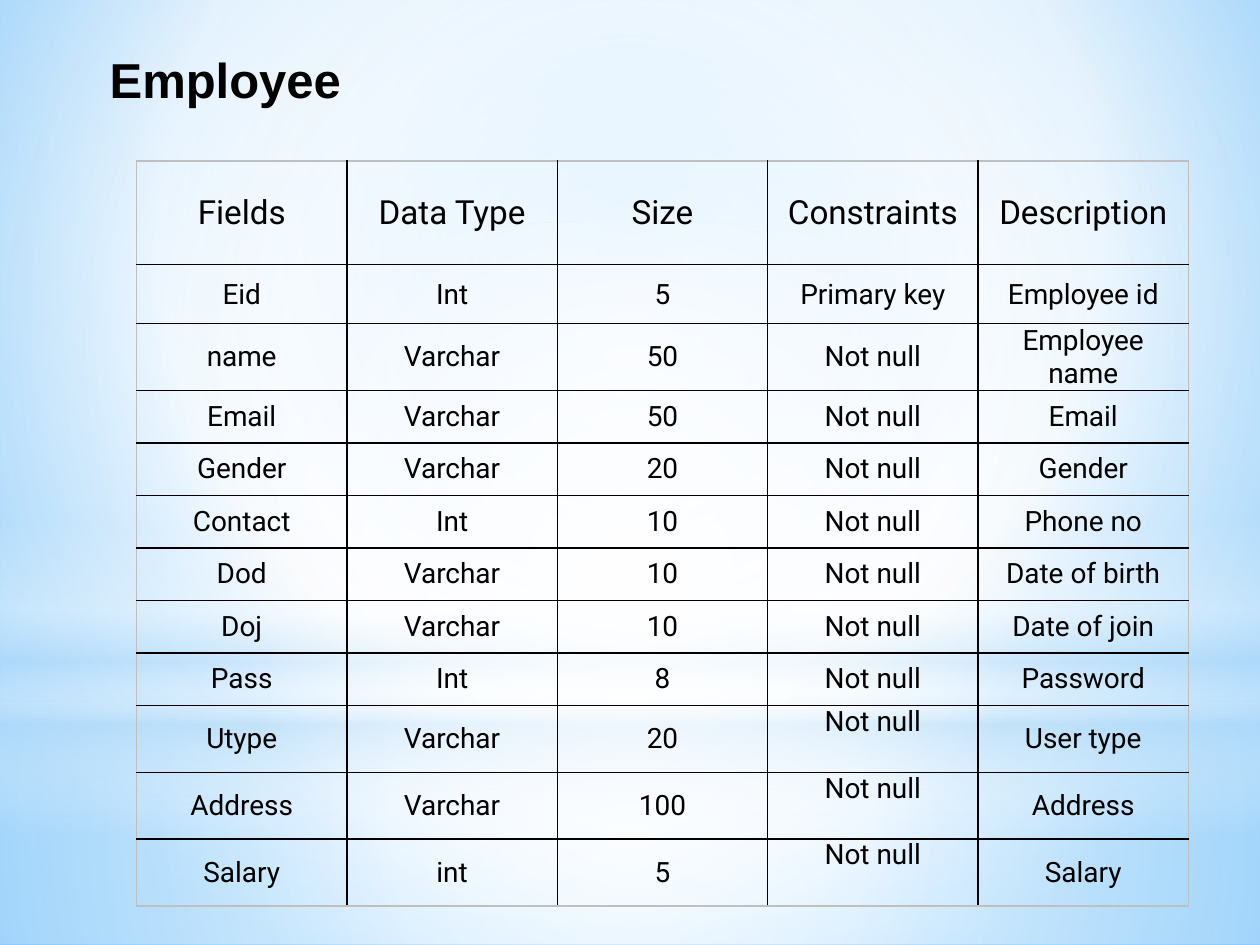
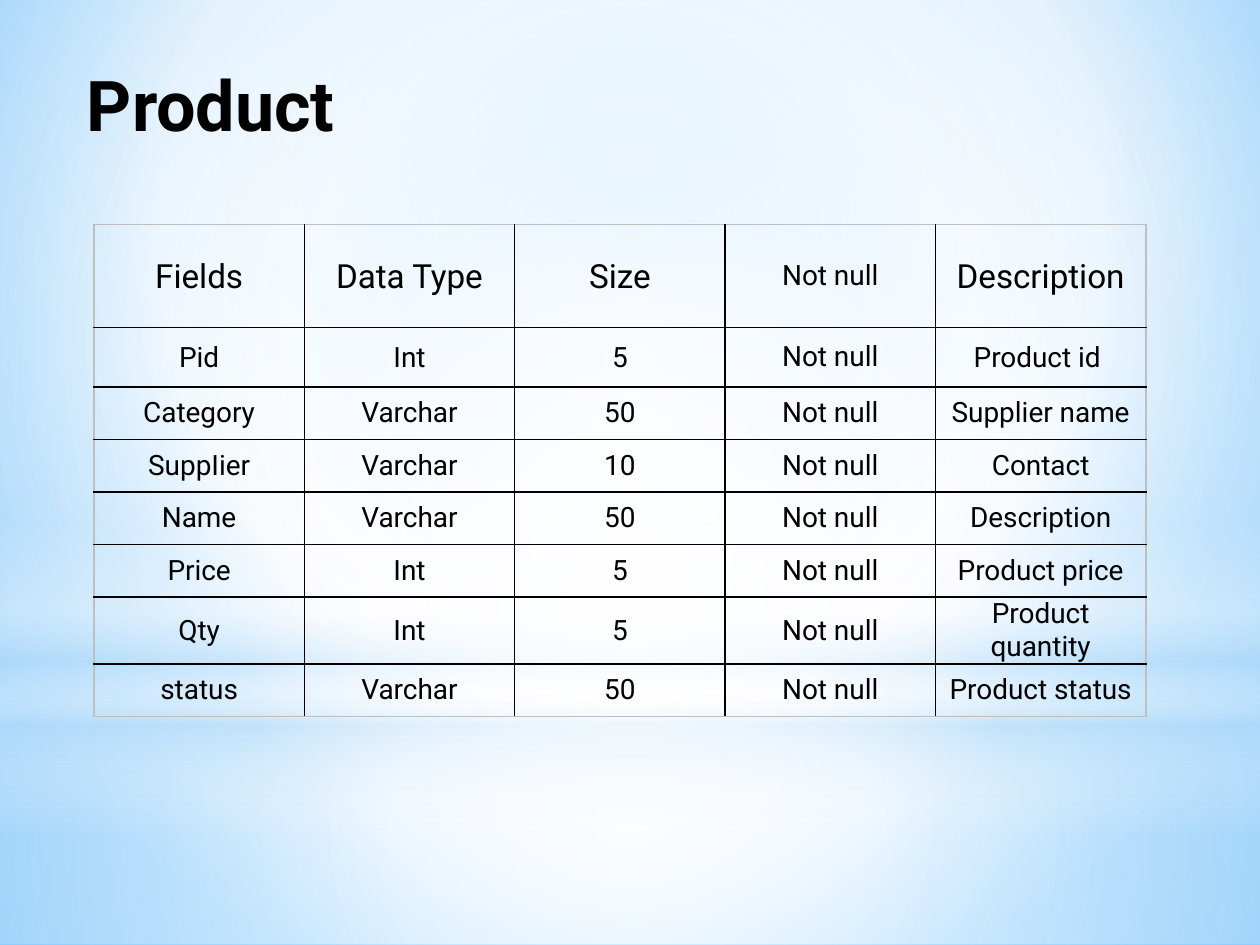
from dataclasses import dataclass

from lxml import etree
from pptx import Presentation
from pptx.dml.color import RGBColor
from pptx.enum.shapes import MSO_SHAPE
from pptx.enum.text import MSO_ANCHOR, MSO_AUTO_SIZE, PP_ALIGN
from pptx.oxml.ns import qn
from pptx.util import Pt

RECTANGLE, OVAL = MSO_SHAPE.RECTANGLE, MSO_SHAPE.OVAL
TOP, MIDDLE = MSO_ANCHOR.TOP, MSO_ANCHOR.MIDDLE
LEFT, CENTER = PP_ALIGN.LEFT, PP_ALIGN.CENTER
NO_AUTOFIT = MSO_AUTO_SIZE.NONE
TITLE_ONLY = 5


@dataclass(frozen=True)
class Theme:
    ink: str = "000000"
    frame: str = "BFBFBF"
    white: str = "FFFFFF"
    haze: str = "B4DCFA"
    sky: str = "9ED5FF"
    deep_sky: str = "5BB9FF"
    font: str = "Roboto"
    heading_font: str = "Arial"
    small_title: int = 28
    large_title: int = 40
    header: int = 19
    body: int = 16


THEME = Theme()
SLIDE_WIDTH, SLIDE_HEIGHT = 720, 540
COLUMN_WIDTH = 120.24
HEADER_HEIGHT, KEY_HEIGHT, ROW_HEIGHT, TALL_HEIGHT = 59, 34, 30, 38.2
CELL_INSET = 5
BORDER_WIDTH = 1
NOT_NULL = "Not null"

EMPLOYEE_FIELDS = [
    ("Fields", "Data Type", "Size", "Constraints", "Description"),
    ("Eid", "Int", "5", "Primary key", "Employee id"),
    ("name", "Varchar", "50", NOT_NULL, "Employee name"),
    ("Email", "Varchar", "50", NOT_NULL, "Email"),
    ("Gender", "Varchar", "20", NOT_NULL, "Gender"),
    ("Contact", "Int", "10", NOT_NULL, "Phone no"),
    ("Dod", "Varchar", "10", NOT_NULL, "Date of birth"),
    ("Doj", "Varchar", "10", NOT_NULL, "Date of join"),
    ("Pass", "Int", "8", NOT_NULL, "Password"),
    ("Utype", "Varchar", "20", NOT_NULL, "User type"),
    ("Address", "Varchar", "100", NOT_NULL, "Address"),
    ("Salary", "int", "5", NOT_NULL, "Salary"),
]
PRODUCT_FIELDS = [
    ("Fields", "Data Type", "Size", NOT_NULL, "Description"),
    ("Pid", "Int", "5", NOT_NULL, "Product id "),
    ("Category", "Varchar", "50", NOT_NULL, "Supplier name"),
    ("SuppIier", "Varchar", "10", NOT_NULL, "Contact"),
    ("Name", "Varchar", "50", NOT_NULL, "Description"),
    ("Price", "Int", "5", NOT_NULL, "Product price"),
    ("Qty", "Int", "5", NOT_NULL, "Product quantity"),
    ("status", "Varchar", "50", NOT_NULL, "Product status"),
]


def write_text(frame, text, size, font=THEME.font, bold=False, align=LEFT,
               line_spacing=1.0, space_after=0):
    paragraph = frame.paragraphs[0]
    paragraph.alignment = align
    paragraph.line_spacing = line_spacing
    paragraph.space_before = Pt(0)
    paragraph.space_after = Pt(space_after)
    run = paragraph.add_run()
    run.text = text
    run.font.name = font
    run.font.size = Pt(size)
    run.font.bold = bold
    run.font.color.rgb = RGBColor.from_string(THEME.ink)


def set_gradient(fill, owner, stops, focus=None):
    """Fill with (position, colour, opacity) stops: around focus, else downwards."""
    fill.gradient()
    gradient = owner.find(".//" + qn("a:gradFill"))
    for child in list(gradient):
        gradient.remove(child)
    stop_list = etree.SubElement(gradient, qn("a:gsLst"))
    for position, colour, opacity in stops:
        stop = etree.SubElement(stop_list, qn("a:gs"), pos=str(position * 1000))
        tint = etree.SubElement(stop, qn("a:srgbClr"), val=colour)
        if opacity < 100:
            etree.SubElement(tint, qn("a:alpha"), val=str(opacity * 1000))
    if focus is None:
        etree.SubElement(gradient, qn("a:lin"), ang="5400000", scaled="0")
    else:
        path = etree.SubElement(gradient, qn("a:path"), path="circle")
        sides = {side: str(share * 1000) for side, share in zip("ltrb", focus)}
        etree.SubElement(path, qn("a:fillToRect"), **sides)


def paint_master(master, slide):
    """Give the master its sky; glows are drawn on the slide, then moved over."""
    white, haze = THEME.white, THEME.haze
    set_gradient(master.background.fill, master.element,
                 [(0, THEME.sky, 100), (60, white, 100), (100, THEME.deep_sky, 100)],
                 (20, 10, 20, 60))
    centre = (50, 50, 50, 50)
    horizon = 402
    glows = [
        (RECTANGLE, horizon, SLIDE_HEIGHT - horizon, centre,
         [(0, white, 91), (37, white, 76), (100, haze, 79)]),
        (RECTANGLE, 0, horizon, centre,
         [(0, white, 89), (48, white, 62), (100, haze, 79)]),
        (RECTANGLE, 297, 180, None,
         [(0, white, 0), (29, white, 30), (45, haze, 40),
          (55, white, 26), (65, haze, 60), (100, white, 0)]),
        (OVAL, 126, horizon, centre, [(0, white, 100), (56, white, 0)]),
    ]
    first_placeholder = master.placeholders[0].element
    for number, (outline, top, height, focus, stops) in enumerate(glows, 101):
        glow = slide.shapes.add_shape(outline, 0, Pt(top), Pt(SLIDE_WIDTH), Pt(height))
        glow.shadow.inherit = False
        glow.line.fill.background()
        set_gradient(glow.fill, glow.element, stops, focus)
        glow.element.nvSpPr.cNvPr.set("id", str(number))
        first_placeholder.addprevious(glow.element)


def place_title(slide, text, left, top, width, height, inset_top=3.6, **text_format):
    title = slide.shapes.title
    title.left, title.top = Pt(left), Pt(top)
    title.width, title.height = Pt(width), Pt(height)
    frame = title.text_frame
    frame.auto_size = NO_AUTOFIT
    frame.vertical_anchor = TOP
    frame.margin_top = Pt(inset_top)
    write_text(frame, text, bold=True, **text_format)


def set_borders(cell, outer_sides):
    """Rule all four sides, with the frame colour on the outer ones."""
    properties = cell._tc.get_or_add_tcPr()
    for index, side in enumerate("LRTB"):
        line = etree.Element(qn("a:ln" + side), w=str(Pt(BORDER_WIDTH)))
        solid = etree.SubElement(line, qn("a:solidFill"))
        colour = THEME.frame if side in outer_sides else THEME.ink
        etree.SubElement(solid, qn("a:srgbClr"), val=colour)
        properties.insert(index, line)


def row_height(row, tall_rows):
    if row in tall_rows:
        return TALL_HEIGHT
    return {0: HEADER_HEIGHT, 1: KEY_HEIGHT}.get(row, ROW_HEIGHT)


def add_field_table(slide, fields, left, top, tall_rows, raised_rows=()):
    """Add a data dictionary; raised rows hold their constraint at the cell top."""
    heights = [row_height(row, tall_rows) for row in range(len(fields))]
    last_row, last_column = len(fields) - 1, len(fields[0]) - 1
    table = slide.shapes.add_table(
        len(fields), len(fields[0]), Pt(left), Pt(top),
        Pt(COLUMN_WIDTH * len(fields[0])), Pt(sum(heights))).table
    table.first_row = table.horz_banding = False
    for column in table.columns:
        column.width = Pt(COLUMN_WIDTH)
    for row, (values, height) in enumerate(zip(fields, heights)):
        table.rows[row].height = Pt(height)
        for column, value in enumerate(values):
            cell = table.cell(row, column)
            raised = row in raised_rows and value == NOT_NULL
            cell.vertical_anchor = TOP if raised else MIDDLE
            cell.margin_left = cell.margin_right = Pt(CELL_INSET)
            cell.margin_top = cell.margin_bottom = 0
            cell.fill.background()
            edges = {"L": column == 0, "R": column == last_column,
                     "T": row == 0, "B": row == last_row}
            set_borders(cell, [side for side, outer in edges.items() if outer])
            heading = row == 0 and value != NOT_NULL
            spaced = row < 2 and value != NOT_NULL
            write_text(cell.text_frame, value, align=CENTER,
                       size=THEME.header if heading else THEME.body,
                       line_spacing=1.05 if spaced else 1.0,
                       space_after=8 if spaced else 0)


def main():
    deck = Presentation()
    deck.slide_width, deck.slide_height = Pt(SLIDE_WIDTH), Pt(SLIDE_HEIGHT)
    layout = deck.slide_layouts[TITLE_ONLY]

    employee = deck.slides.add_slide(layout)
    paint_master(deck.slide_master, employee)
    add_field_table(employee, EMPLOYEE_FIELDS, 78, 92,
                    tall_rows=(2, 9, 10, 11), raised_rows=(9, 10, 11))
    place_title(employee, "Employee", 55.5, 24, 266, 63, inset_top=4,
                size=THEME.small_title, font=THEME.heading_font)

    product = deck.slides.add_slide(layout)
    place_title(product, "Product", 42.5, 31.5, 272, 55, size=THEME.large_title)
    add_field_table(product, PRODUCT_FIELDS, 53.7, 128.2, tall_rows=(6,))

    deck.save("out.pptx")


if __name__ == "__main__":
    main()
